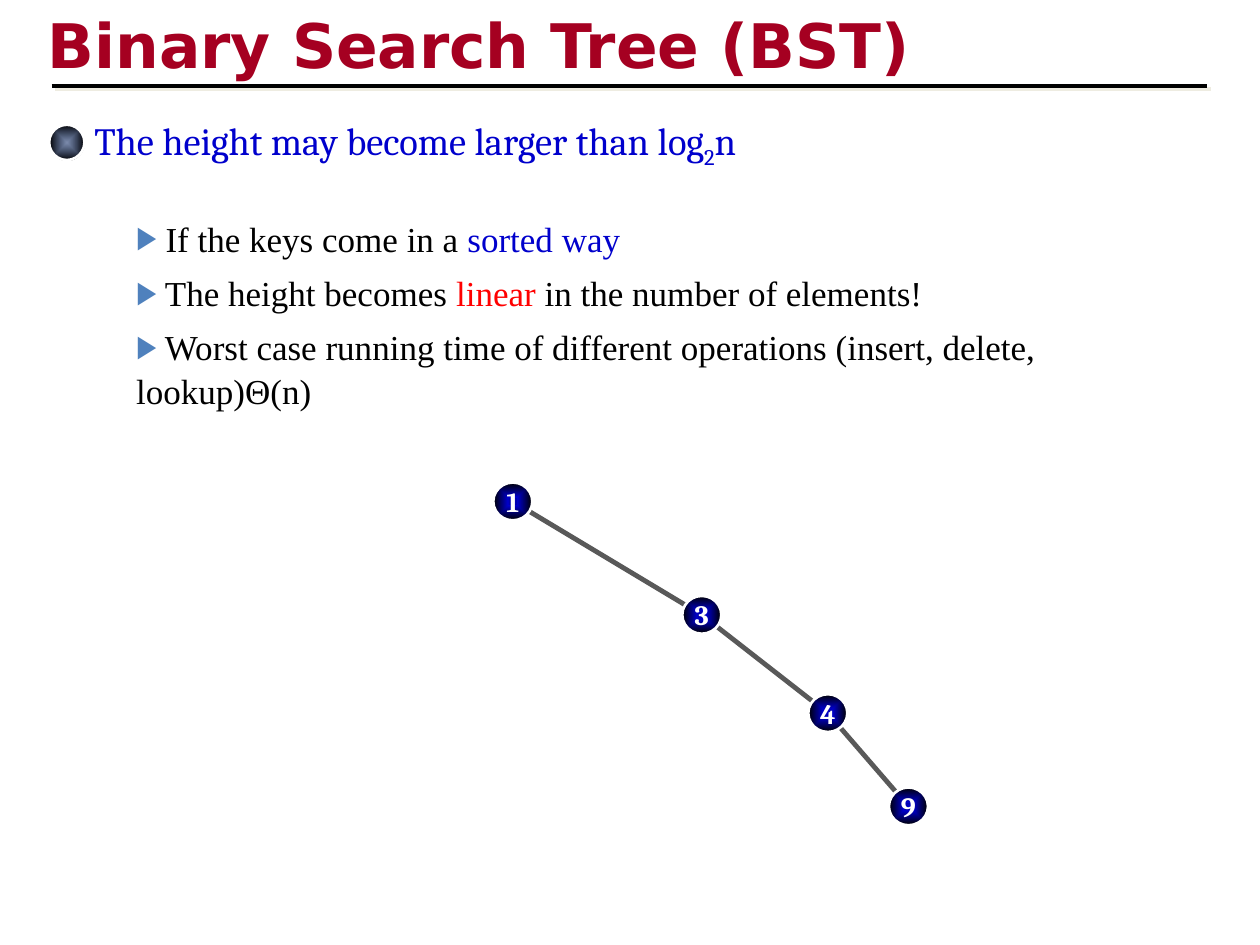
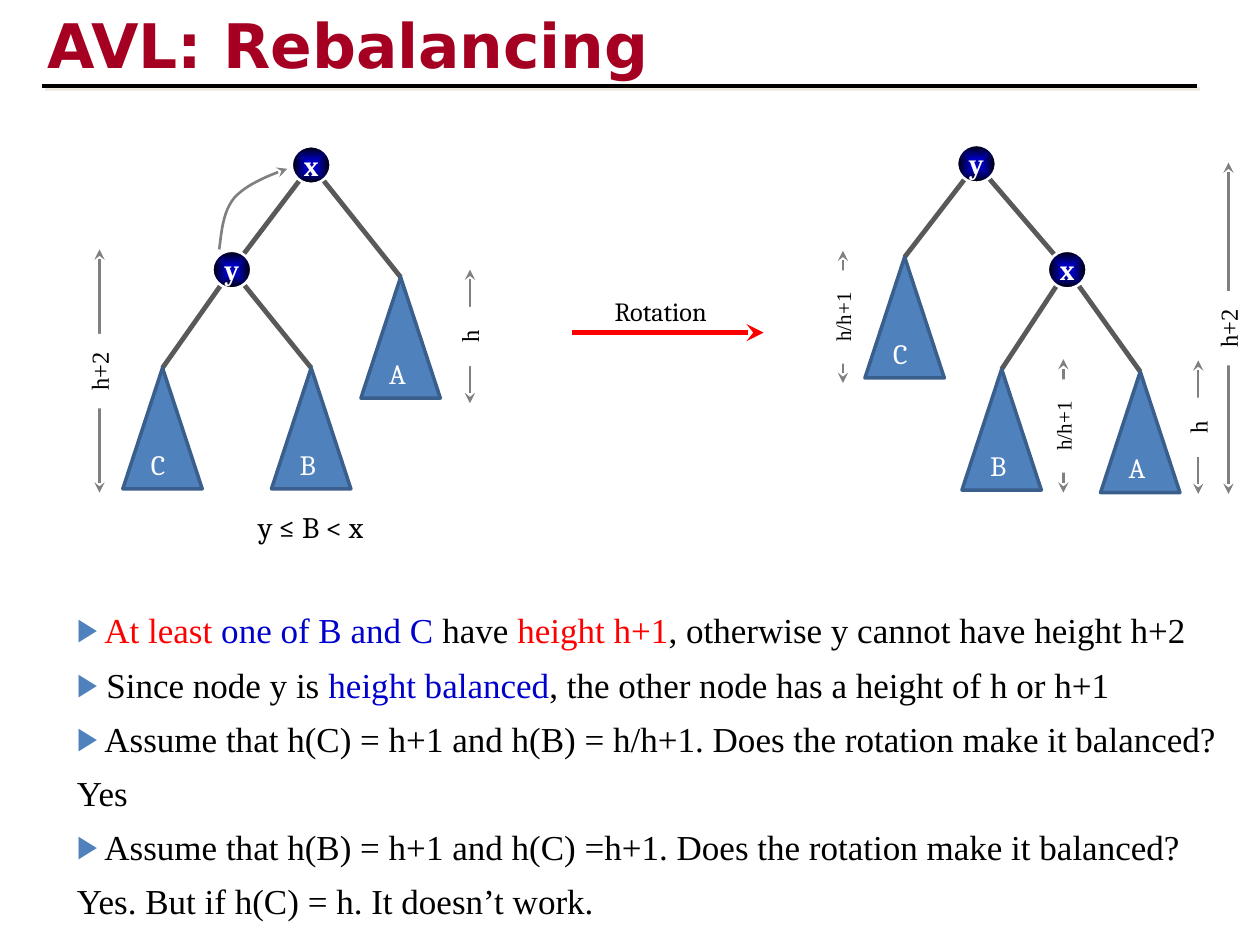
"""Builds two slides on search trees: a degenerate tree and a rotation."""
from pptx import Presentation, util as u
from pptx.dml import color
from pptx.enum import shapes, text
from pptx.oxml import parse_xml
from pptx.oxml.ns import nsdecls, qn

RED, BLUE, INK, WHITE = "FF0000", "0000CC", "000000", "FFFFFF"
FILL, RIM, GREY, EDGE = "4F81BD", "3A5F8C", "808080", "595959"
TITLE, PALE, NAVY = "A50021", "EEECE1", "002060"
SERIF, TIMES, SANS = "Cambria", "Times New Roman", "DejaVu Sans"
rgb = color.RGBColor.from_string

deck = Presentation()
deck.slide_width, deck.slide_height = u.Inches(10), u.Inches(7.5)
CELL = deck.slide_width / 100


def grid(*cells):
    """Turn grid cells, a hundred to the slide's width, into lengths."""
    return [round(c * CELL) for c in cells]


def tag(parent, name, inner="", **attrs):
    """Append a drawing element to a parent."""
    pairs = " ".join(f'{k}="{v}"' for k, v in attrs.items())
    parent.append(parse_xml(f"<a:{name} {nsdecls('a')} {pairs}>{inner}</a:{name}>"))


SHADE = (f'<a:outerShdw dist="35560" dir="2700000" algn="ctr" rotWithShape="0">'
         f'<a:srgbClr val="{PALE}"/></a:outerShdw>')
NODE = [(0, BLUE), (10, "0000B7"), (16, "0000AB"), (21, BLUE), (100, INK)]
DOT = [(0, NAVY), (100, INK)]
NW, NH, TW, TH = 3.1, 3, 6.3, 9.6

pages = [
    dict(
        title="Binary Search Tree (BST)", rule=4.1, body=(9.8, 16.6, 87.4, 16),
        points=[
            (True, [(" If the keys come in a ", INK), ("sorted way", BLUE)]),
            (True, [(" The height becomes ", INK), ("linear", RED),
                    (" in the number of elements!", INK)]),
            (True, [(" Worst case running time of different operations "
                     "(insert, delete, lookup)Θ(n)", INK)])],
        nodes={"1": (40.7, 39.8), "3": (55.7, 48.8),
               "4": (65.7, 56.6), "9": (72.1, 64)},
        cones={}, edges=["13", "34", "49"], spans=[], arrows=[],
        notes=[(6.5, 8.8, 90.7, 4.7, 22, BLUE,
                [("The height may become larger than log", 0), ("2", -25), ("n", 0)])]),
    dict(
        title="AVL: Rebalancing", rule=3.3, body=(5.1, 47.7, 94.1, 27.3),
        points=[
            (True, [(" At least", RED), (" one of B and C ", BLUE), ("have ", INK),
                    ("height h+1", RED),
                    (", otherwise y cannot have height h+2", INK)]),
            (True, [(" Since node y is ", INK), ("height balanced", BLUE),
                    (", the other node has a height of h or h+1", INK)]),
            (True, [(" Assume that h(C) = h+1 and h(B) = h/h+1. "
                     "Does the rotation make it balanced?", INK)]),
            (False, [("Yes", INK)]),
            (True, [(" Assume that h(B) = h+1 and h(C) =h+1. "
                     "Does the rotation make it balanced?", INK)]),
            (False, [("Yes. But if h(C) = h. It doesn’t work.", INK)])],
        nodes={"x": (24.7, 13.1), "y": (18.4, 21.4),
               "y2": (77.5, 13), "x2": (84.7, 21.4)},
        cones={"A": (31.8, 22), "B": (24.7, 29.2), "C": (12.9, 29.2),
               "C2": (71.8, 20.4), "B2": (79.5, 29.3), "A2": (90.5, 29.5)},
        edges=["xy", "xA", "yC", "yB", ("y2", "C2"), ("y2", "x2"),
               ("x2", "B2"), ("x2", "A2")],
        spans=[(37.3, 21.4, 32, "h", 4.7, 14), (7.9, 19.8, 39.1, "h+2", 5.9, 14),
               (95.1, 28.6, 39.2, "h", 4.7, 14), (97.5, 12.9, 39.2, "h+2", 5.9, 14),
               (66.9, 19.9, 30.4, "h/h+1", 7.4, 12),
               (84.4, 28.5, 39.1, "h/h+1", 7.4, 12)],
        arrows=[(45.4, 26.4, 60.6, 26.4)],
        notes=[(47.8, 22.9, 10.4, 3.5, 15, INK, [("Rotation", 0)]),
               (19.5, 39.9, 12.8, 3.9, 17, INK, [("y ≤ B < x", 0)])]),
]

for page in pages:
    slide = deck.slides.add_slide(deck.slide_layouts[1])
    pool = slide.shapes
    head, body = slide.placeholders
    for part, area in (head, (2.8, 0.1, 85, 6.7)), (body, page["body"]):
        part.left, part.top, part.width, part.height = grid(*area)
        part.text_frame.auto_size = text.MSO_AUTO_SIZE.NONE
        part.text_frame.word_wrap = True
    head.text_frame.text = page["title"]
    para = head.text_frame.paragraphs[0]
    para.alignment = text.PP_ALIGN.LEFT
    para.font.name, para.font.size, para.font.bold = SANS, u.Pt(35.1), True
    para.font.color.rgb = rgb(TITLE)
    tag(para.runs[0]._r.get_or_add_rPr(), "effectLst", SHADE)

    for n, (mark, runs) in enumerate(page["points"]):
        frame = body.text_frame
        para = frame.add_paragraph() if n else frame.paragraphs[0]
        para.space_before, para.line_spacing = u.Pt(6), 1.04
        props = para._p.get_or_add_pPr()
        props.set("marL", "0")
        props.set("indent", "0")
        if mark:
            tag(props, "buClr", f'<a:srgbClr val="{FILL}"/>')
            tag(props, "buSzPct", val=90000)
            tag(props, "buChar", char="▶")
        else:
            tag(props, "buNone")
        para.font.name, para.font.size = TIMES, u.Pt(20)
        for words, hue in runs:
            run = para.add_run()
            run.text, run.font.color.rgb = words, rgb(hue)

    spots = page["nodes"] | page["cones"]
    rule = page["rule"]
    lines = [((rule, 6.8, rule + 91.7, 6.8), INK, 2.25, [], SHADE)]
    lines += [((*spots[a], *spots[b]), EDGE, 2.75, [], "") for a, b in page["edges"]]
    lines += [((x, top, x, low), GREY, 1.25, ["headEnd", "tailEnd"], "")
              for x, top, low, *_ in page["spans"]]
    lines += [(ends, RED, 3.25, ["tailEnd"], "") for ends in page["arrows"]]
    for ends, hue, size, tips, shade in lines:
        line = pool.add_connector(shapes.MSO_CONNECTOR.STRAIGHT, *grid(*ends))
        line.line.color.rgb, line.line.width = rgb(hue), u.Pt(size)
        for tip in tips:
            tag(line._element.spPr.find(qn("a:ln")), tip, type="stealth")
        tag(line._element.spPr, "effectLst", shade)

    notes = list(page["notes"])
    for name, (x, y) in page["cones"].items():
        cone = pool.add_shape(shapes.MSO_SHAPE.ISOSCELES_TRIANGLE,
                              *grid(x - TW / 2, y, TW, TH))
        cone.shadow.inherit = False
        cone.fill.solid()
        cone.fill.fore_color.rgb = rgb(FILL)
        cone.line.color.rgb, cone.line.width = rgb(RIM), u.Pt(2)
        notes.append((x - 1.9, y + 5.8, 4.6, 3.7, 16, WHITE, [(name[0], 0)]))

    balls = [(x - NW / 2, y - NH / 2, NW, NH, NODE, name[0])
             for name, (x, y) in page["nodes"].items()]
    if not page["cones"]:
        balls.append((3.9, 9.9, 2.8, 2.8, DOT, ""))
    for *area, stops, name in balls:
        ball = pool.add_shape(shapes.MSO_SHAPE.OVAL, *grid(*area))
        ball.shadow.inherit = False
        ball.line.color.rgb, ball.line.width = rgb(WHITE), u.Pt(1.5)
        ball.fill.gradient()
        fade = ball._element.spPr.find(qn("a:gradFill"))
        for kid in list(fade):
            fade.remove(kid)
        alpha = '<a:alpha val="51000"/>'
        tag(fade, "gsLst", "".join(
            f'<a:gs pos="{at * 1000}"><a:srgbClr val="{hue}">'
            f'{alpha if hue == NAVY else ""}</a:srgbClr></a:gs>' for at, hue in stops))
        tag(fade, "path", '<a:fillToRect l="50000" t="50000" r="50000" b="50000"/>',
            path="shape")
        if name:
            frame = ball.text_frame
            frame.text, frame.word_wrap = name, False
            frame.vertical_anchor = text.MSO_ANCHOR.MIDDLE
            para = frame.paragraphs[0]
            para.alignment = text.PP_ALIGN.CENTER
            para.font.name, para.font.size, para.font.bold = SERIF, u.Pt(16), True
            para.font.color.rgb = rgb(WHITE)

    for *area, size, hue, runs in notes:
        note = pool.add_textbox(*grid(*area))
        note.text_frame.word_wrap = True
        para = note.text_frame.paragraphs[0]
        para.font.name, para.font.size = SERIF, u.Pt(size)
        para.font.color.rgb = rgb(hue)
        for words, shift in runs:
            run = para.add_run()
            run.text = words
            if shift:
                run._r.get_or_add_rPr().set("baseline", str(shift * 1000))

    for x, top, low, words, wide, size in page["spans"]:
        high = 3.4 if size == 14 else 3
        label = pool.add_textbox(*grid(x - wide / 2, (top + low - high) / 2, wide, high))
        label.rotation = 270
        label.fill.solid()
        label.fill.fore_color.rgb = rgb(WHITE)
        label.text_frame.word_wrap = True
        label.text_frame.text = words
        para = label.text_frame.paragraphs[0]
        para.alignment = text.PP_ALIGN.CENTER
        para.font.name, para.font.size = TIMES, u.Pt(size)
        para.font.color.rgb = rgb(INK)

bends = [[(17.4, 19.8), (17.6, 18.3), (17.7, 16.8), (18.6, 15.7)],
         [(18.6, 15.7), (19.5, 14.7), (21.1, 14), (22.8, 13.4)]]
trail = []
for bend in bends:
    for t in [k / 12 for k in range(13)]:
        mix = (1 - t) ** 3, 3 * t * (1 - t) ** 2, 3 * t * t * (1 - t), t ** 3
        trail.append(grid(*(sum(m * c for m, c in zip(mix, axis))
                            for axis in zip(*bend))))
pen = pool.build_freeform(*trail[0])
pen.add_line_segments(trail[1:], close=False)
curve = pen.convert_to_shape()
curve.shadow.inherit = False
curve.fill.background()
curve.line.color.rgb, curve.line.width = rgb(GREY), u.Pt(1.5)
tag(curve._element.spPr.find(qn("a:ln")), "tailEnd", type="stealth")

deck.save("out.pptx")
